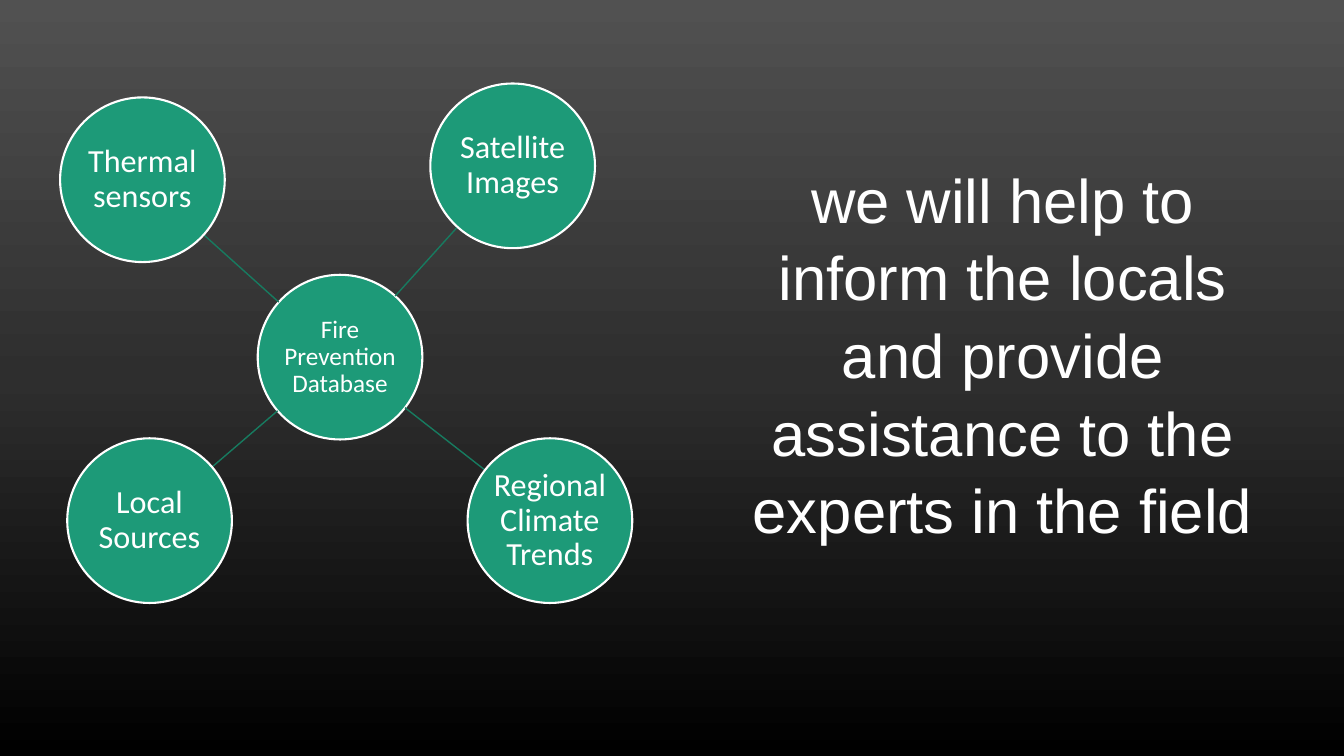
from copy import deepcopy
from math import dist

from lxml.etree import SubElement
from pptx import Presentation
from pptx.dml.color import RGBColor
from pptx.enum.shapes import MSO_CONNECTOR, MSO_SHAPE
from pptx.enum.text import MSO_ANCHOR, PP_ALIGN
from pptx.oxml.ns import qn
from pptx.util import Cm, Pt

COLORS = {
    "top": "515151",
    "middle": "2E2E2E",
    "bottom": "000000",
    "node": "1D9A78",
    "link": "177B60",
    "text": "FFFFFF",
}
DIAMETER = 4.15
HUB = ("Fire Prevention Database", (8.57, 9), 18)
SOURCES = [
    ("Satellite Images", (12.92, 4.18), 23),
    ("Regional Climate Trends", (13.86, 13.12), 23),
    ("Thermal sensors", (3.59, 4.53), 23),
    ("Local Sources", (3.77, 13.12), 23),
]
MESSAGE = (
    "we will help to inform the locals and provide assistance "
    "to the experts in the field"
)


def apply(target, settings):
    for key, value in settings.items():
        setattr(target, key, value)


class SlideBuilder:
    def __init__(self, slide):
        self.slide = slide

    def color(self, name):
        return RGBColor.from_string(COLORS[name])

    def background(self, names):
        fill = self.slide.background.fill
        fill.gradient()
        fill.gradient_angle = 270
        stop_list = self.slide._element.find(".//" + qn("a:gsLst"))
        stop_list.append(deepcopy(stop_list[0]))
        for index, (stop, name) in enumerate(zip(fill.gradient_stops, names)):
            stop.position = index / (len(names) - 1)
            stop.color.rgb = self.color(name)

    def text(self, frame, words, font, size, spacing, frame_format):
        apply(frame, {"word_wrap": True, **frame_format})
        paragraph = frame.paragraphs[0]
        paragraph.text = words
        apply(paragraph, {"alignment": PP_ALIGN.CENTER, "line_spacing": spacing})
        apply(paragraph.font, {"name": font, "size": Pt(size)})
        paragraph.font.color.rgb = self.color("text")

    def node(self, label, center, size):
        left, top = (Cm(value - DIAMETER / 2) for value in center)
        circle = self.slide.shapes.add_shape(
            MSO_SHAPE.OVAL, left, top, Cm(DIAMETER), Cm(DIAMETER)
        )
        circle.shadow.inherit = False
        circle.fill.solid()
        circle.fill.fore_color.rgb = self.color("node")
        circle.line.color.rgb = self.color("text")
        circle.line.width = Pt(1.5)
        margins = {f"margin_{side}": Cm(0.03) for side in ("left", "right", "top", "bottom")}
        centered = {"vertical_anchor": MSO_ANCHOR.MIDDLE, **margins}
        self.text(circle.text_frame, label, "Calibri", size, 0.9, centered)

    def link(self, start, end):
        share = DIAMETER / 2 / dist(start, end)
        rim_start = [Cm(a + (b - a) * share) for a, b in zip(start, end)]
        rim_end = [Cm(b - (b - a) * share) for a, b in zip(start, end)]
        connector = self.slide.shapes.add_connector(
            MSO_CONNECTOR.STRAIGHT, *rim_start, *rim_end
        )
        connector.line.color.rgb = self.color("link")
        connector.line.width = Pt(1)
        SubElement(connector._element.spPr, qn("a:effectLst"))

    def statement(self, words, left, top, width, height):
        box = self.slide.shapes.add_textbox(Cm(left), Cm(top), Cm(width), Cm(height))
        self.text(box.text_frame, words, "Arial", 44, 1.05, {})


def main():
    presentation = Presentation()
    apply(presentation, {"slide_width": Cm(33.87), "slide_height": Cm(19.05)})
    builder = SlideBuilder(presentation.slides.add_slide(presentation.slide_layouts[6]))
    builder.background(["top", "middle", "bottom"])
    builder.node(*HUB)
    for source in SOURCES:
        builder.link(HUB[1], source[1])
        builder.node(*source)
    builder.statement(MESSAGE, 18.29, 3.86, 13.97, 9.65)
    presentation.save("out.pptx")


if __name__ == "__main__":
    main()
